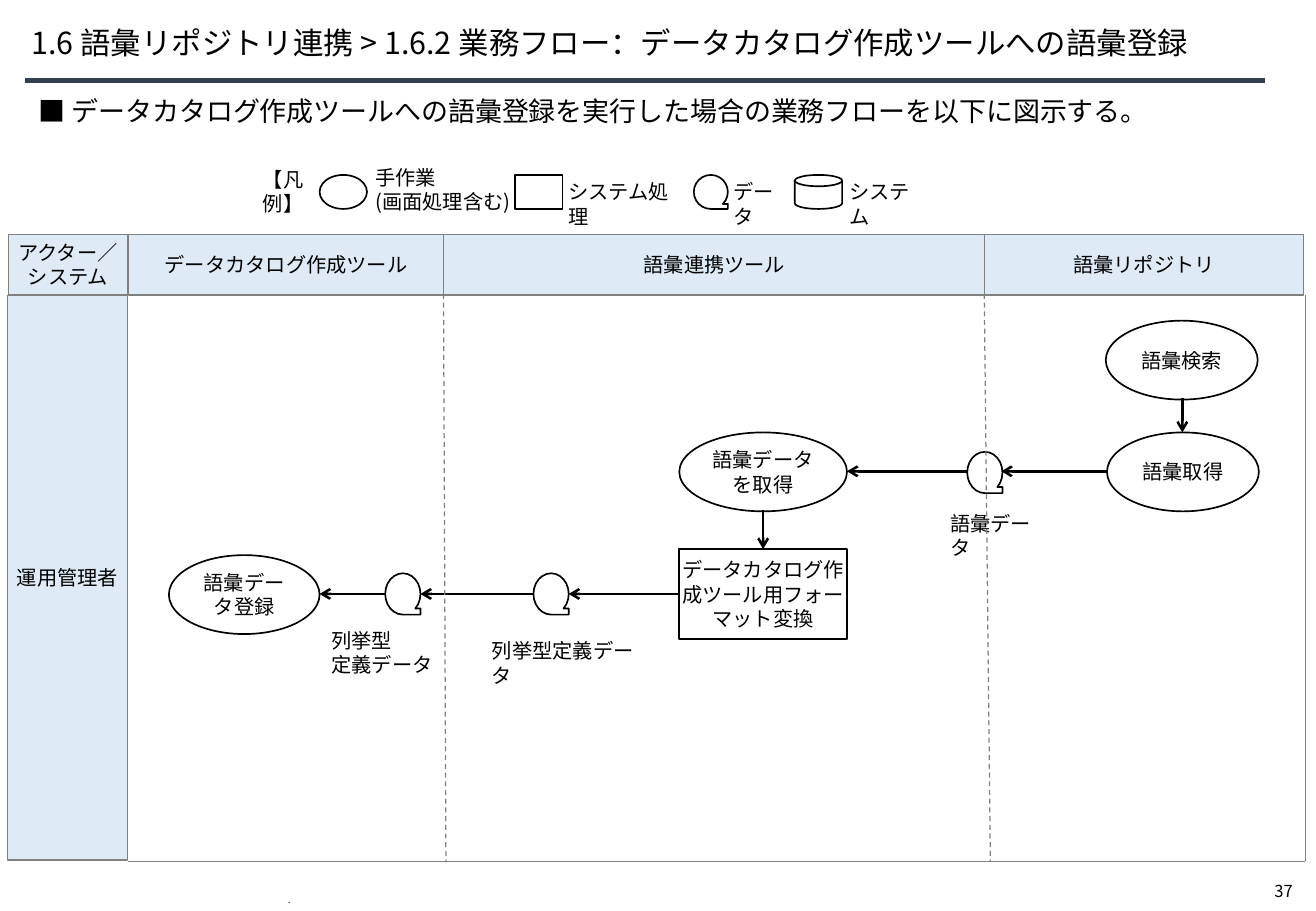
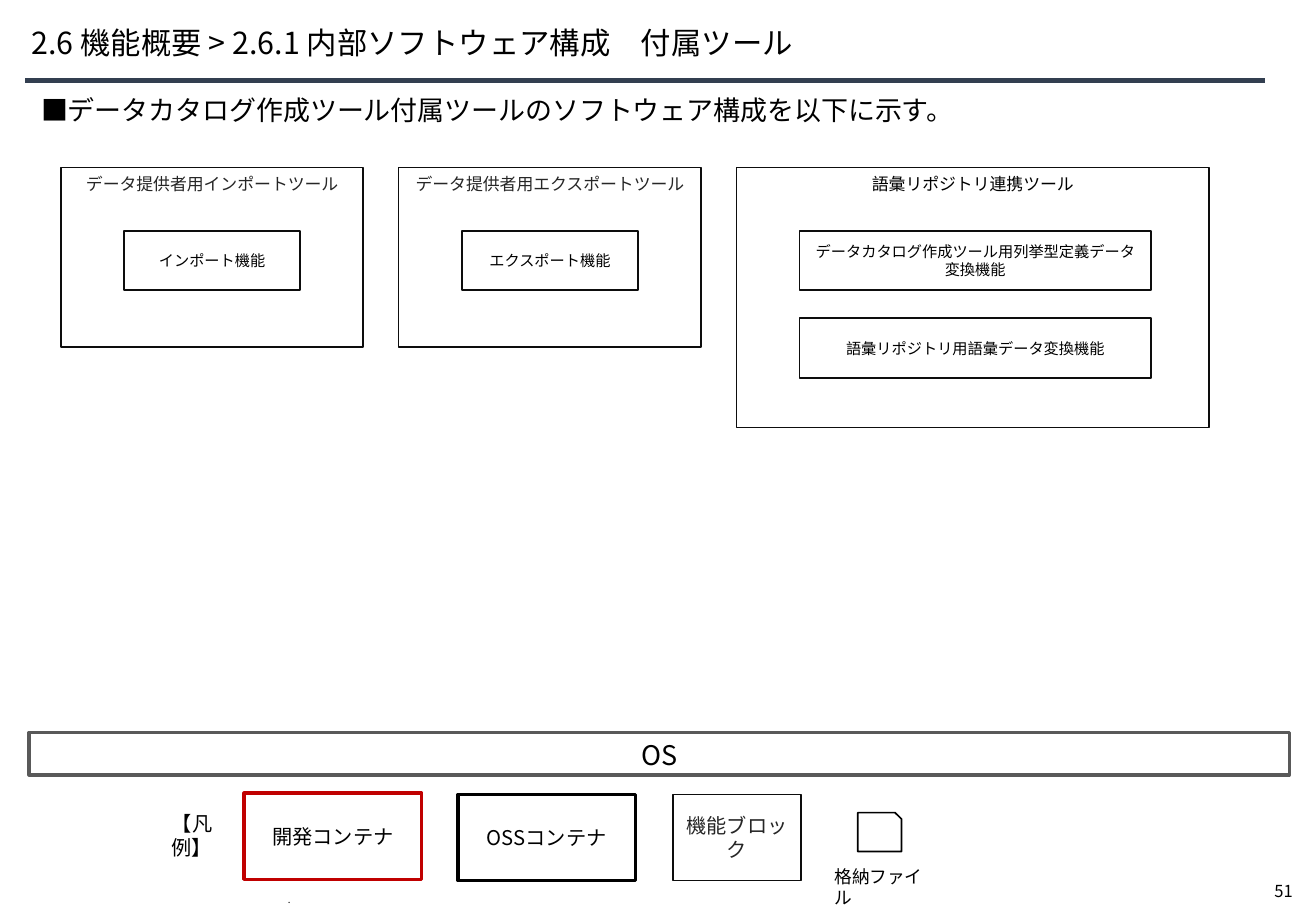
from dataclasses import dataclass
from typing import Optional

from lxml.etree import SubElement
from pptx import Presentation
from pptx.dml.color import RGBColor
from pptx.enum.dml import MSO_LINE
from pptx.enum.shapes import MSO_CONNECTOR, MSO_SHAPE
from pptx.enum.text import MSO_ANCHOR, PP_ALIGN
from pptx.oxml.ns import qn
from pptx.util import Inches, Pt

FONT = "Noto Sans CJK JP"
BLACK = RGBColor(0x00, 0x00, 0x00)
WHITE = RGBColor(0xFF, 0xFF, 0xFF)
NAVY = RGBColor(0x33, 0x3F, 0x50)
PALE_BLUE = RGBColor(0xDE, 0xEB, 0xF7)
GRAY = RGBColor(0x80, 0x80, 0x80)
DARK_GRAY = RGBColor(0x59, 0x59, 0x59)
NEAR_BLACK = RGBColor(0x0D, 0x0D, 0x0D)
CHARCOAL = RGBColor(0x26, 0x26, 0x26)
RED = RGBColor(0xC0, 0x00, 0x00)

RECT, OVAL = MSO_SHAPE.RECTANGLE, MSO_SHAPE.OVAL
TAPE = MSO_SHAPE.FLOWCHART_SEQUENTIAL_ACCESS_STORAGE
DISK = MSO_SHAPE.FLOWCHART_MAGNETIC_DISK
SNIP = MSO_SHAPE.SNIP_1_RECTANGLE
TOP, MIDDLE, BOTTOM = MSO_ANCHOR.TOP, MSO_ANCHOR.MIDDLE, MSO_ANCHOR.BOTTOM
LEFT, CENTER = PP_ALIGN.LEFT, PP_ALIGN.CENTER


@dataclass
class Text:
    text: str
    size: float = 12
    color: RGBColor = BLACK
    align: PP_ALIGN = CENTER
    anchor: MSO_ANCHOR = MIDDLE
    wrap: bool = True
    inset: tuple = (0.1, 0.05, 0.1, 0.05)


@dataclass
class Box:
    x: float
    y: float
    w: float
    h: float
    text: Optional[Text] = None
    kind: MSO_SHAPE = RECT
    fill: Optional[RGBColor] = WHITE
    line: Optional[RGBColor] = BLACK
    weight: float = 1


@dataclass
class Container:
    title: str
    w: float
    h: float
    block_w: float
    blocks: tuple
    color: RGBColor = CHARCOAL


# ---- Drawing helpers ----
def write(tf, t: Text) -> None:
    """Fill a text frame, one paragraph per line of text."""
    tf.word_wrap = t.wrap
    tf.vertical_anchor = t.anchor
    tf.margin_left, tf.margin_top, tf.margin_right, tf.margin_bottom = map(Inches, t.inset)
    for i, line in enumerate(t.text.split("\n")):
        p = tf.paragraphs[0] if i == 0 else tf.add_paragraph()
        p.alignment = t.align
        r = p.add_run()
        r.text = line
        r.font.size = Pt(t.size)
        r.font.color.rgb = t.color
        r.font.name = FONT
        SubElement(r.font._element, qn("a:ea")).set("typeface", FONT)


def add_box(s, b: Box):
    sp = s.shapes.add_shape(b.kind, Inches(b.x), Inches(b.y), Inches(b.w), Inches(b.h))
    sp.shadow.inherit = False
    if b.fill is None:
        sp.fill.background()
    else:
        sp.fill.solid()
        sp.fill.fore_color.rgb = b.fill
    if b.line is None:
        sp.line.fill.background()
    else:
        sp.line.color.rgb = b.line
        sp.line.width = Pt(b.weight)
    if b.text:
        write(sp.text_frame, b.text)
    return sp


def add_label(s, x: float, y: float, w: float, h: float, t: Text):
    tb = s.shapes.add_textbox(Inches(x), Inches(y), Inches(w), Inches(h))
    write(tb.text_frame, t)
    return tb


def add_line(s, x1: float, y1: float, x2: float, y2: float, color: RGBColor = GRAY,
             weight: float = 0.75, dashed: bool = False, arrow: bool = False):
    c = s.shapes.add_connector(MSO_CONNECTOR.STRAIGHT,
                               Inches(x1), Inches(y1), Inches(x2), Inches(y2))
    c.line.color.rgb = color
    c.line.width = Pt(weight)
    if dashed:
        c.line.dash_style = MSO_LINE.DASH
    if arrow:
        SubElement(c.line._get_or_add_ln(), qn("a:tailEnd")).set("type", "arrow")
    SubElement(c._element.spPr, qn("a:effectLst"))
    return c


def add_arrow(s, x1: float, y1: float, x2: float, y2: float):
    return add_line(s, x1, y1, x2, y2, BLACK, 1.5, arrow=True)


def start_slide(prs, title: str, number: int):
    """Add a slide with the shared title, rule, page number and footer."""
    s = prs.slides.add_slide(prs.slide_layouts[5])
    ph = s.shapes.title
    ph.left, ph.top, ph.width, ph.height = map(Inches, (0.26, 0.13, 9.92, 0.47))
    write(ph.text_frame, Text(title, 18, align=LEFT, inset=(0, 0.05, 0.1, 0.05)))
    ph.text_frame.paragraphs[0].line_spacing = 0.9
    add_line(s, 0.21, 0.66, 10.41, 0.66, NAVY, 3)
    add_label(s, 10.39, 7.2, 0.43, 0.27,
              Text(str(number), 9.8, align=LEFT, anchor=TOP, wrap=False))
    dot = add_label(s, 2.27, 7.36, 6.3, 0.14, Text(".", 5.7, align=LEFT, anchor=BOTTOM))
    dot.text_frame.paragraphs[0].line_spacing = Pt(1.6)
    return s


def add_lead(s, x: float, y: float, w: float, h: float, text: str) -> None:
    add_box(s, Box(x, y, w, h, Text(text, 16, align=LEFT, anchor=TOP), line=None))


# ---- Slide: business flow ----
def build_flow(prs) -> None:
    s = start_slide(prs, "1.6 語彙リポジトリ連携 > 1.6.2 業務フロー：データカタログ作成ツールへの語彙登録", 37)
    add_lead(s, 0.22, 0.73, 9.62, 0.41,
             "■ データカタログ作成ツールへの語彙登録を実行した場合の業務フローを以下に図示する。")

    # Manual steps and the conversion step
    for x, y, w, text in ((9.11, 3.56, 1.25, "語彙取得"), (9.1, 2.64, 1.25, "語彙検索"),
                          (1.39, 4.57, 1.24, "語彙データ登録"),
                          (5.59, 3.56, 1.38, "語彙データを取得")):
        add_box(s, Box(x, y, w, 0.65, Text(text, inset=(0.07, 0.04, 0.07, 0.04)), OVAL))
    convert = add_box(s, Box(5.59, 4.52, 1.38, 0.74,
                             Text("データカタログ作成ツール用フォーマット変換",
                                  inset=(0.01, 0.04, 0.01, 0.04))))

    # Data symbols and their labels
    for x, y in ((7.96, 3.72), (4.39, 4.72), (3.17, 4.72)):
        add_box(s, Box(x, y, 0.29, 0.34, kind=TAPE, fill=None))
    for x, y, w, h, text in ((7.72, 4.16, 0.98, 0.3, "語彙データ"),
                             (3.95, 5.21, 1.47, 0.3, "列挙型定義データ"),
                             (2.63, 5.12, 1.08, 0.5, "列挙型\n定義データ")):
        add_label(s, x, y, w, h, Text(text, align=LEFT, anchor=TOP))

    # Arrows
    for ends in ((9.73, 3.28, 9.73, 3.56), (9.11, 3.88, 8.24, 3.88), (7.96, 3.88, 6.97, 3.88),
                 (4.39, 4.89, 3.46, 4.89), (3.17, 4.89, 2.63, 4.89)):
        add_arrow(s, *ends)
    add_arrow(s, 6.28, 4.2, 6.28, 4.52).end_connect(convert, 0)
    add_arrow(s, 5.59, 4.89, 4.68, 4.89).begin_connect(convert, 1)

    # Swimlane headers and frame
    for x, y, w, h, text in ((0.06, 2.43, 0.99, 4.65, "運用管理者"),
                             (0.07, 1.93, 0.98, 0.5, "アクター／\nシステム"),
                             (3.65, 1.93, 4.46, 0.5, "語彙連携ツール"),
                             (8.1, 1.93, 2.63, 0.5, "語彙リポジトリ"),
                             (1.06, 1.93, 2.59, 0.5, "データカタログ作成ツール")):
        add_box(s, Box(x, y, w, h, Text(text, wrap=False), fill=PALE_BLUE,
                       line=GRAY, weight=0.75))
    add_line(s, 1.05, 7.09, 10.74, 7.09)
    add_line(s, 10.74, 2.43, 10.74, 7.09, weight=0.5)
    add_line(s, 8.1, 2.42, 8.15, 7.09, dashed=True)
    add_line(s, 3.65, 2.42, 3.67, 7.1, dashed=True)

    # Legend
    add_label(s, 2.02, 1.38, 0.62, 0.39, Text("【凡例】", wrap=False))
    for kind, x, w in ((OVAL, 2.63, 0.39), (RECT, 4.24, 0.39),
                       (TAPE, 5.71, 0.28), (DISK, 6.54, 0.39)):
        add_box(s, Box(x, 1.44, w, 0.28, kind=kind, fill=None))
    for x, y, w, h, text in ((2.99, 1.31, 1.33, 0.5, "手作業\n(画面処理含む)"),
                             (4.58, 1.43, 1.07, 0.3, "システム処理"),
                             (5.94, 1.43, 0.61, 0.3, "データ"),
                             (6.89, 1.43, 0.73, 0.3, "システム")):
        add_label(s, x, y, w, h, Text(text, align=LEFT, anchor=TOP))


# ---- Slide: software structure ----
def build_software(prs) -> None:
    s = start_slide(prs, "2.6 機能概要 > 2.6.1 内部ソフトウェア構成　付属ツール", 51)
    add_lead(s, 0.24, 0.72, 10.37, 0.34,
             "■データカタログ作成ツール付属ツールのソフトウェア構成を以下に示す。")

    # Tools and their function blocks
    tools = (
        Container("データ提供者用インポートツール", 2.49, 1.48, 1.45, ("インポート機能",)),
        Container("データ提供者用エクスポートツール", 2.49, 1.48, 1.45, ("エクスポート機能",)),
        Container("語彙リポジトリ連携ツール", 3.89, 2.14, 2.89,
                  ("データカタログ作成ツール用列挙型定義データ変換機能",
                   "語彙リポジトリ用語彙データ変換機能"), BLACK),
    )
    x, gap = 0.5, 0.29
    for tool in tools:
        add_box(s, Box(x, 1.38, tool.w, tool.h,
                       Text(tool.title, 10, tool.color, anchor=TOP), line=NEAR_BLACK))
        for i, block in enumerate(tool.blocks):
            add_box(s, Box(x + 0.52, 1.9 + 0.72 * i, tool.block_w, 0.49,
                           Text(block, 9), line=NEAR_BLACK))
        x += tool.w + gap

    add_box(s, Box(0.24, 6.03, 10.37, 0.35, Text("OS", 16, anchor=TOP),
                   line=DARK_GRAY, weight=2))

    # Legend
    add_label(s, 1.27, 6.68, 0.62, 0.39, Text("【凡例】", wrap=False))
    add_box(s, Box(2.01, 6.53, 1.46, 0.71, Text("開発コンテナ"), line=RED, weight=2))
    add_box(s, Box(3.77, 6.54, 1.46, 0.71, Text("OSSコンテナ"), weight=2))
    add_box(s, Box(5.54, 6.54, 1.05, 0.71, Text("機能ブロック", color=CHARCOAL),
                   line=NEAR_BLACK))
    add_box(s, Box(7.06, 6.69, 0.36, 0.32, kind=SNIP, fill=None))
    add_label(s, 6.77, 7.08, 0.99, 0.28, Text("格納ファイル", 10.5, align=LEFT, anchor=TOP))


def main() -> None:
    prs = Presentation()
    prs.slide_width, prs.slide_height = Inches(10.83), Inches(7.5)
    build_flow(prs)
    build_software(prs)
    prs.save("out.pptx")


if __name__ == "__main__":
    main()
